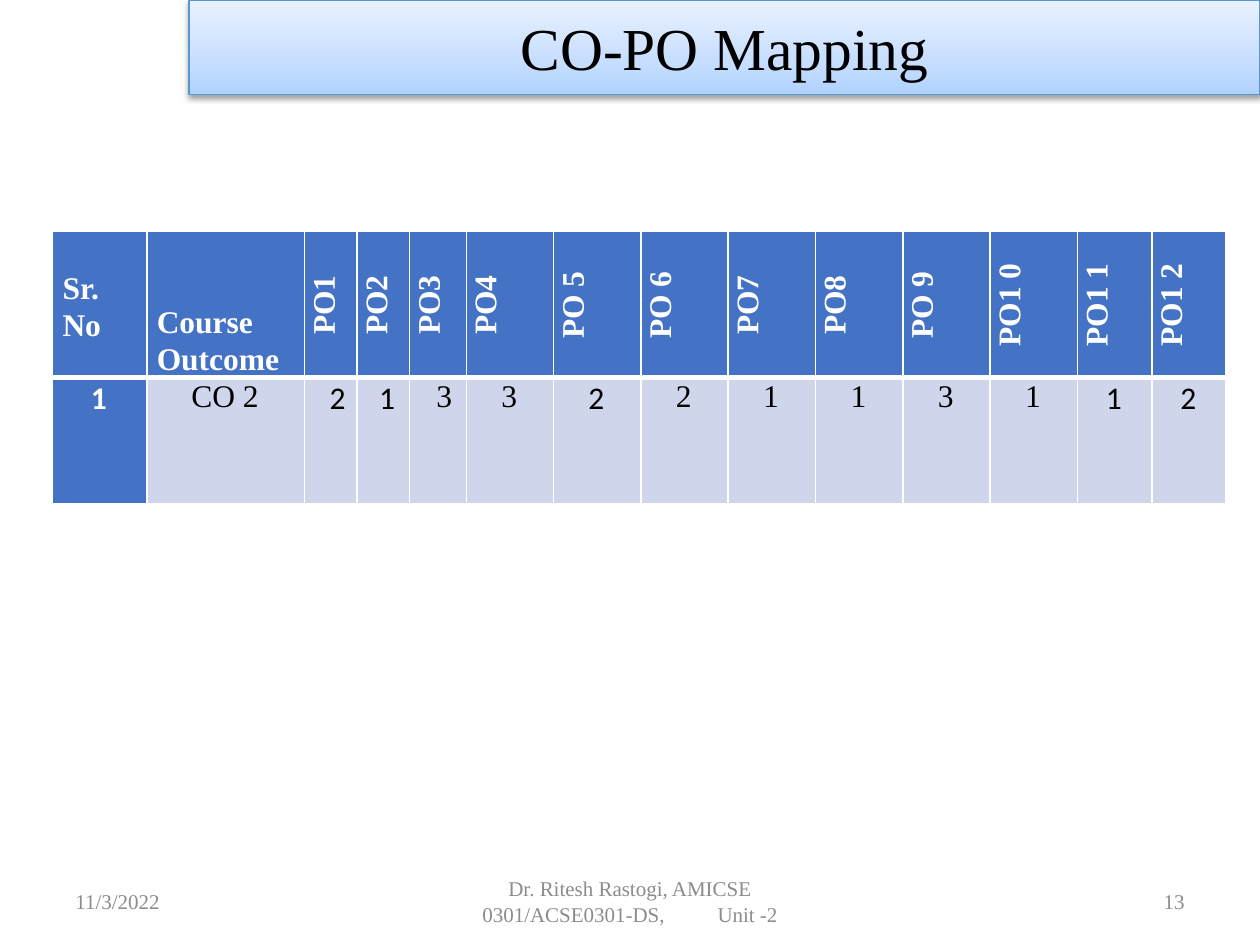
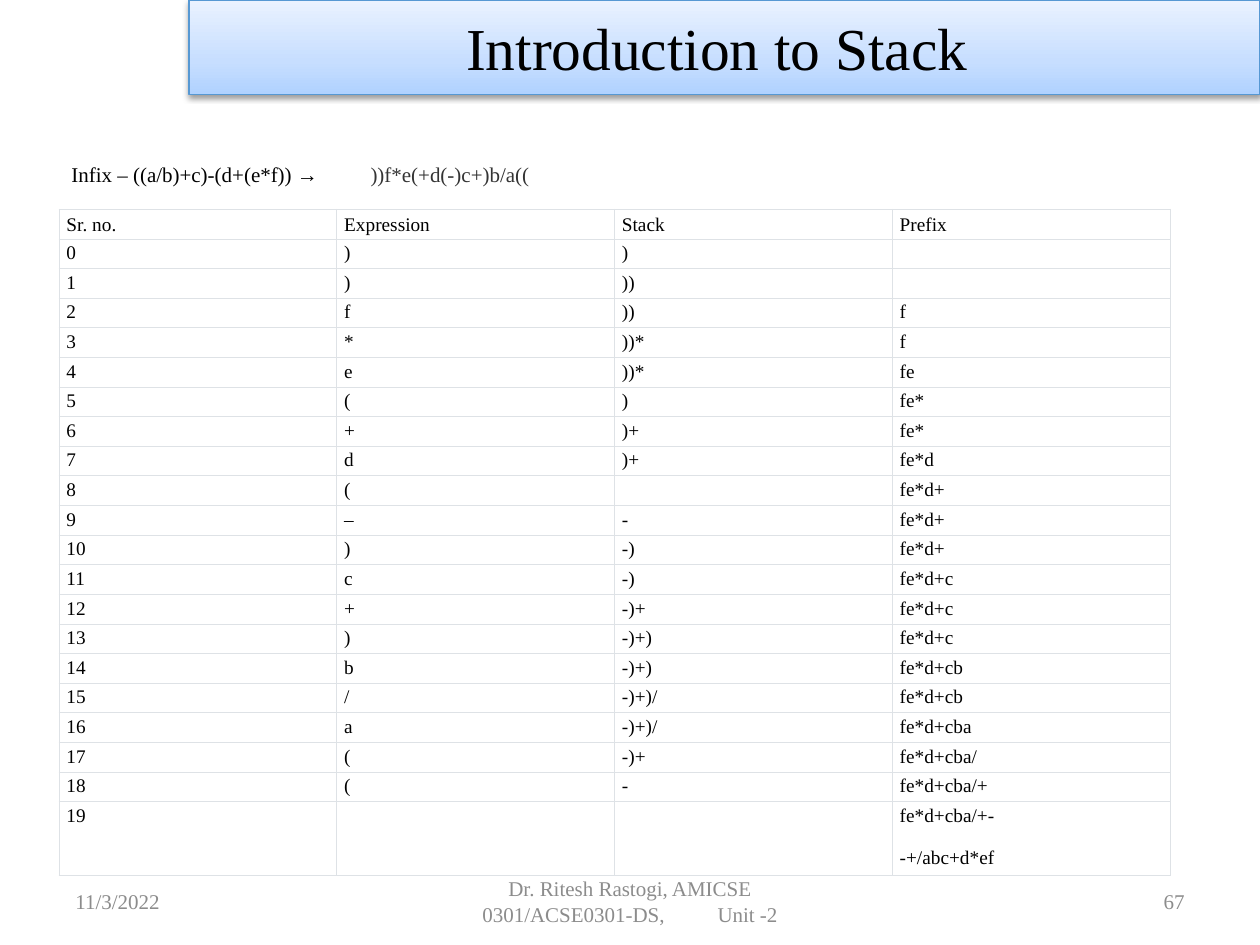
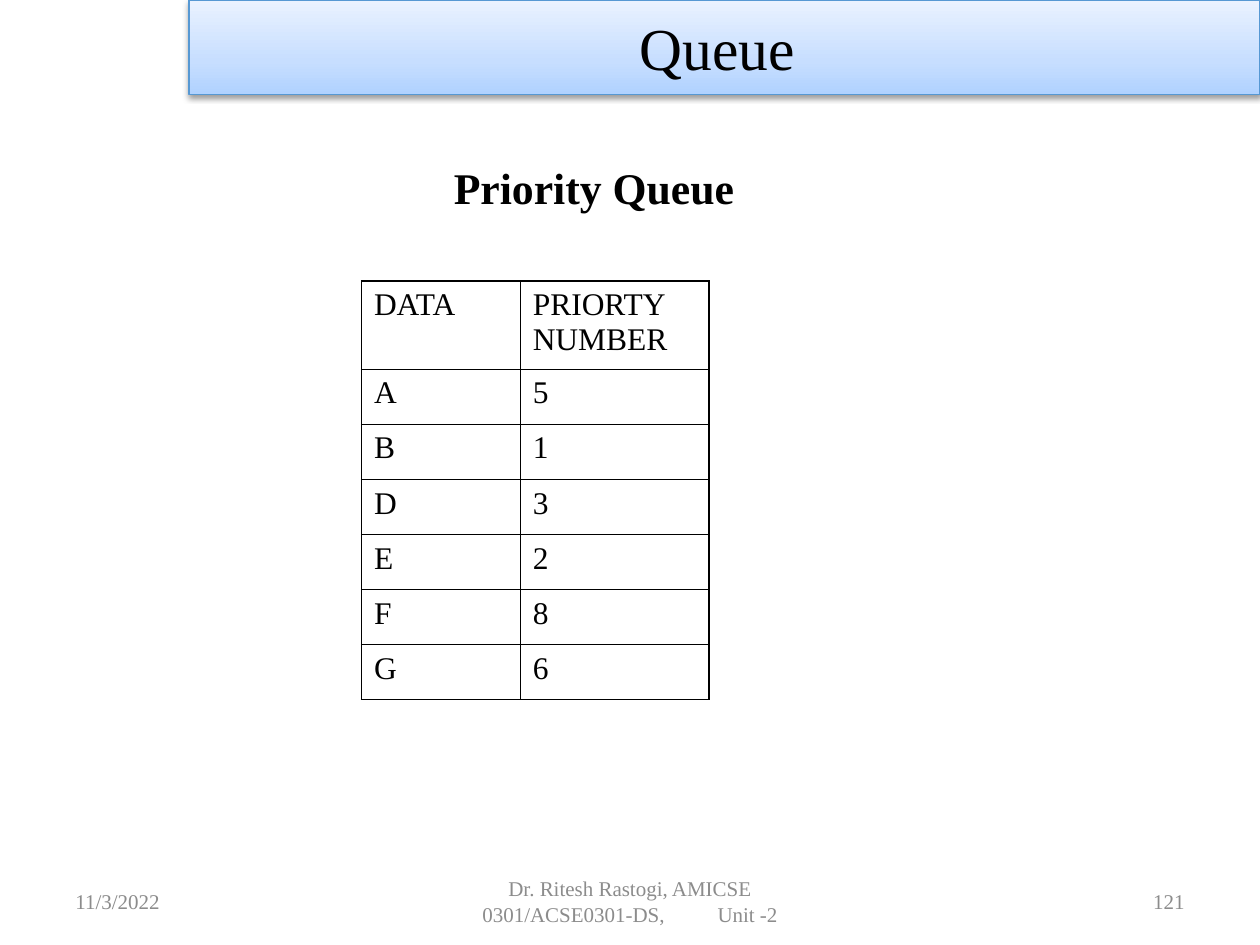
"""Build three lecture slides: outcome mapping, infix-to-prefix trace and priority queue."""
import lxml.etree
import pptx
import pptx.dml.color
import pptx.enum.text
import pptx.oxml
import pptx.oxml.ns
import pptx.util

Cm = pptx.util.Cm
Pt = pptx.util.Pt
qn = pptx.oxml.ns.qn
ALIGN = pptx.enum.text.PP_ALIGN
ANCHOR = pptx.enum.text.MSO_ANCHOR
COLORS = {
    "text": "000000", "muted": "8C8C8C", "reversed": "343434", "white": "FFFFFF",
    "header": "4472C4", "cell": "CFD5EA", "grid": "DEE2E6",
    "band_line": "5698D3", "band_dark": "B0D2FF", "band_mid": "C7DEFF", "band_light": "EAF2FF",
}
NAMESPACE = 'xmlns:a="http://schemas.openxmlformats.org/drawingml/2006/main"'
BAND_FILL = f"""<a:gradFill {NAMESPACE} rotWithShape="1"><a:gsLst>
<a:gs pos="0"><a:srgbClr val="{COLORS['band_dark']}"/></a:gs>
<a:gs pos="35000"><a:srgbClr val="{COLORS['band_mid']}"/></a:gs>
<a:gs pos="100000"><a:srgbClr val="{COLORS['band_light']}"/></a:gs>
</a:gsLst><a:lin ang="16200000" scaled="1"/></a:gradFill>"""
BAND_SHADOW = f"""<a:effectLst {NAMESPACE}>
<a:outerShdw blurRad="40000" dist="20000" dir="5400000" rotWithShape="0">
<a:srgbClr val="{COLORS['text']}"><a:alpha val="38000"/></a:srgbClr></a:outerShdw></a:effectLst>"""


def write(para, text, size=12, color="text", font="Times New Roman", bold=False,
          align=None, line=None, before=None, indent=0, tracking=0):
    if align is not None:
        para.alignment = align
    if line:
        para.line_spacing = line
    if before:
        para.space_before = Pt(before)
    if indent:
        para._p.get_or_add_pPr().set("marL", str(Cm(indent)))
    if not text:
        lxml.etree.SubElement(para._p, qn("a:endParaRPr"), sz=str(size * 100))
        return
    span = para.add_run()
    span.text = text
    span.font.name = font
    span.font.size = Pt(size)
    span.font.bold = bold
    span.font.color.rgb = pptx.dml.color.RGBColor.from_string(COLORS[color])
    if tracking:
        span._r.get_or_add_rPr().set("spc", str(tracking * 100))


def add_grid(page, left, top, widths, heights, margins, rule, rule_width, head_rule=None):
    frame = page.shapes.add_table(len(heights), len(widths), Cm(left), Cm(top),
                                  Cm(sum(widths)), Cm(sum(heights)))
    table = frame.table
    table.first_row = table.horz_banding = False
    for column, width in zip(table.columns, widths):
        column.width = Cm(width)
    for row_number, (row, height) in enumerate(zip(table.rows, heights)):
        row.height = Cm(height)
        for cell in row.cells:
            cell.margin_left, cell.margin_top, cell.margin_right, cell.margin_bottom = map(Cm, margins)
            for side in ("lnL", "lnR", "lnT", "lnB"):
                under_head = (row_number, side) in ((0, "lnB"), (1, "lnT"))
                width = head_rule if head_rule and under_head else rule_width
                edge = lxml.etree.SubElement(cell._tc.get_or_add_tcPr(), qn(f"a:{side}"), w=str(Pt(width)))
                paint = lxml.etree.SubElement(edge, qn("a:solidFill"))
                lxml.etree.SubElement(paint, qn("a:srgbClr"), val=COLORS[rule])
            cell.fill.background()
    return table


deck = pptx.Presentation()
deck.slide_width, deck.slide_height = Cm(25.4), Cm(19.05)

pages = []
for title, number in (("CO-PO Mapping", "13"), ("Introduction to Stack ", "67"), ("Queue ", "121")):
    page = deck.slides.add_slide(deck.slide_layouts[5])
    pages.append(page)
    band = page.shapes.title
    band.left, band.top, band.width, band.height = Cm(3.81), Cm(0), Cm(21.59), Cm(1.9)
    for effect in (BAND_FILL, BAND_SHADOW):
        band._element.spPr.append(pptx.oxml.parse_xml(effect))
    band.line.color.rgb = pptx.dml.color.RGBColor.from_string(COLORS["band_line"])
    band.line.width = Pt(0.75)
    band.text_frame.auto_size = pptx.enum.text.MSO_AUTO_SIZE.NONE
    band.text_frame.vertical_anchor = ANCHOR.MIDDLE
    write(band.text_frame.paragraphs[0], title, size=34, align=ALIGN.CENTER)

    footers = (
        (1.27, 5.93, ALIGN.LEFT, (("11/3/2022", 0),)),
        (8.68, 8.04, ALIGN.CENTER,
         (("Dr. Ritesh Rastogi, AMICSE 0301/ACSE0301-DS,", 0), (" ", 27), ("Unit -2", 0))),
        (18.2, 5.93, ALIGN.RIGHT, ((number, 0),)),
    )
    for left, width, align, pieces in footers:
        box = page.shapes.add_textbox(Cm(left), Cm(17.66), Cm(width), Cm(1.01))
        box.text_frame.word_wrap = True
        box.text_frame.vertical_anchor = ANCHOR.MIDDLE
        for text, tracking in pieces:
            write(box.text_frame.paragraphs[0], text, color="muted", align=align, tracking=tracking)

mapping_page, stack_page, queue_page = pages

outcomes = ["PO1", "PO2", "PO3", "PO4", "PO 5", "PO 6", "PO7", "PO8", "PO 9", "PO1 0", "PO1 1", "PO1 2"]
levels = ["1", "CO 2", "2", "1", "3", "3", "2", "2", "1", "1", "3", "1", "1", "2"]
level_indents = {2: 0.3, 3: 0.18, 4: 0.28}
calibri_columns = (0, 2, 3, 6, 12, 13)
mapping = add_grid(mapping_page, 1.06, 4.66, [1.9, 3.18, 1.06, 1.06, 1.14] + [1.76] * 7 + [1.5] * 2,
                   [2.95, 2.54], (0.2, 0, 0.23, 0), "white", 1, head_rule=3)
for column, text in enumerate(["Sr.", "Course Outcome"] + outcomes):
    cell = mapping.cell(0, column)
    cell.fill.solid()
    cell.fill.fore_color.rgb = pptx.dml.color.RGBColor.from_string(COLORS["header"])
    heading = {"size": 18, "color": "white", "bold": True, "line": 1.06}
    if column > 1:
        cell._tc.get_or_add_tcPr().set("vert", "vert270")
        heading.update(align=ALIGN.CENTER)
    write(cell.text_frame.paragraphs[0], text, **heading)
number_cell, outcome_cell = mapping.cell(0, 0), mapping.cell(0, 1)
number_cell.margin_top = Cm(0.76)
write(number_cell.text_frame.add_paragraph(), "No", size=18, color="white", bold=True, line=1.06)
outcome_cell.vertical_anchor = ANCHOR.BOTTOM

for column, text in enumerate(levels):
    cell = mapping.cell(1, column)
    cell.fill.solid()
    cell.fill.fore_color.rgb = pptx.dml.color.RGBColor.from_string(COLORS["cell" if column else "header"])
    write(cell.text_frame.paragraphs[0], text, size=18, color="text" if column else "white",
          font="Calibri" if column in calibri_columns else "Times New Roman", bold=column == 0,
          align=ALIGN.CENTER, line=1.06, indent=level_indents.get(column, 0))

box = stack_page.shapes.add_textbox(Cm(1.19), Cm(3.13), Cm(22.1), Cm(0.76))
box.text_frame.word_wrap = True
para = box.text_frame.paragraphs[0]
tabs = lxml.etree.SubElement(para._p.get_or_add_pPr(), qn("a:tabLst"))
lxml.etree.SubElement(tabs, qn("a:tab"), pos=str(Cm(6.03)), algn="l")
write(para, "Infix – ((a/b)+c)-(d+(e*f)) →")
write(para, "\t))f*e(+d(-)c+)b/a((", color="reversed")

steps = [
    (")", ")", ""), (")", "))", ""), ("f", "))", "f"), ("*", "))*", "f"), ("e", "))*", "fe"),
    ("(", ")", "fe*"), ("+", ")+", "fe*"), ("d", ")+", "fe*d"), ("(", "", "fe*d+"),
    ("–", "-", "fe*d+"), (")", "-)", "fe*d+"), ("c", "-)", "fe*d+c"), ("+", "-)+", "fe*d+c"),
    (")", "-)+)", "fe*d+c"), ("b", "-)+)", "fe*d+cb"), ("/", "-)+)/", "fe*d+cb"),
    ("a", "-)+)/", "fe*d+cba"), ("(", "-)+", "fe*d+cba/"), ("(", "-", "fe*d+cba/+"),
    ("", "", "fe*d+cba/+-"),
]
trace_rows = [("Sr. no.", "Expression", "Stack", "Prefix")]
trace_rows += [(str(number), *step) for number, step in enumerate(steps)]
trace = add_grid(stack_page, 1.19, 4.22, [5.6] * 4, [0.59] * 20 + [1.42],
                 (0.15, 0.07, 0.15, 0.06), "grid", 0.6)
for row, texts in enumerate(trace_rows):
    for column, text in enumerate(texts):
        cell = trace.cell(row, column)
        cell.fill.solid()
        cell.fill.fore_color.rgb = pptx.dml.color.RGBColor.from_string(COLORS["white"])
        if row == 0:
            cell.vertical_anchor = ANCHOR.BOTTOM
        write(cell.text_frame.paragraphs[0], text, size=11)
write(trace.cell(20, 3).text_frame.add_paragraph(), "-+/abc+d*ef", size=11, before=12)

box = queue_page.shapes.add_textbox(Cm(8.9), Cm(3.12), Cm(12.78), Cm(1.32))
box.text_frame.word_wrap = True
write(box.text_frame.paragraphs[0], "Priority Queue", size=25, bold=True)

priorities = [("DATA", "PRIORTY NUMBER"), ("A", "5"), ("B", "1"), ("D", "3"), ("E", "2"), ("F", "8"), ("G", "6")]
queue = add_grid(queue_page, 7.29, 5.66, [3.2, 3.8], [1.78] + [1.11] * 6,
                 (0.25, 0.13, 0.25, 0.13), "text", 1)
for row, texts in enumerate(priorities):
    for column, text in enumerate(texts):
        write(queue.cell(row, column).text_frame.paragraphs[0], text, size=18)

deck.save("out.pptx")
